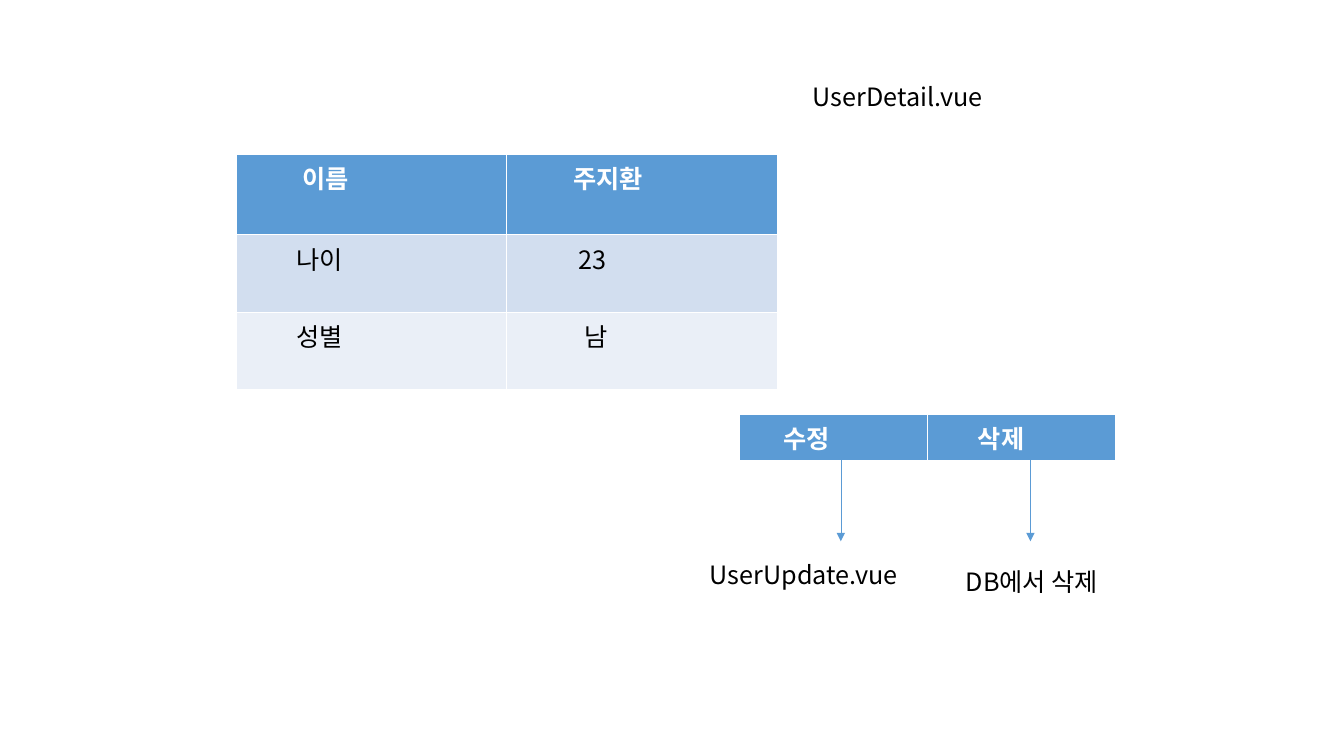
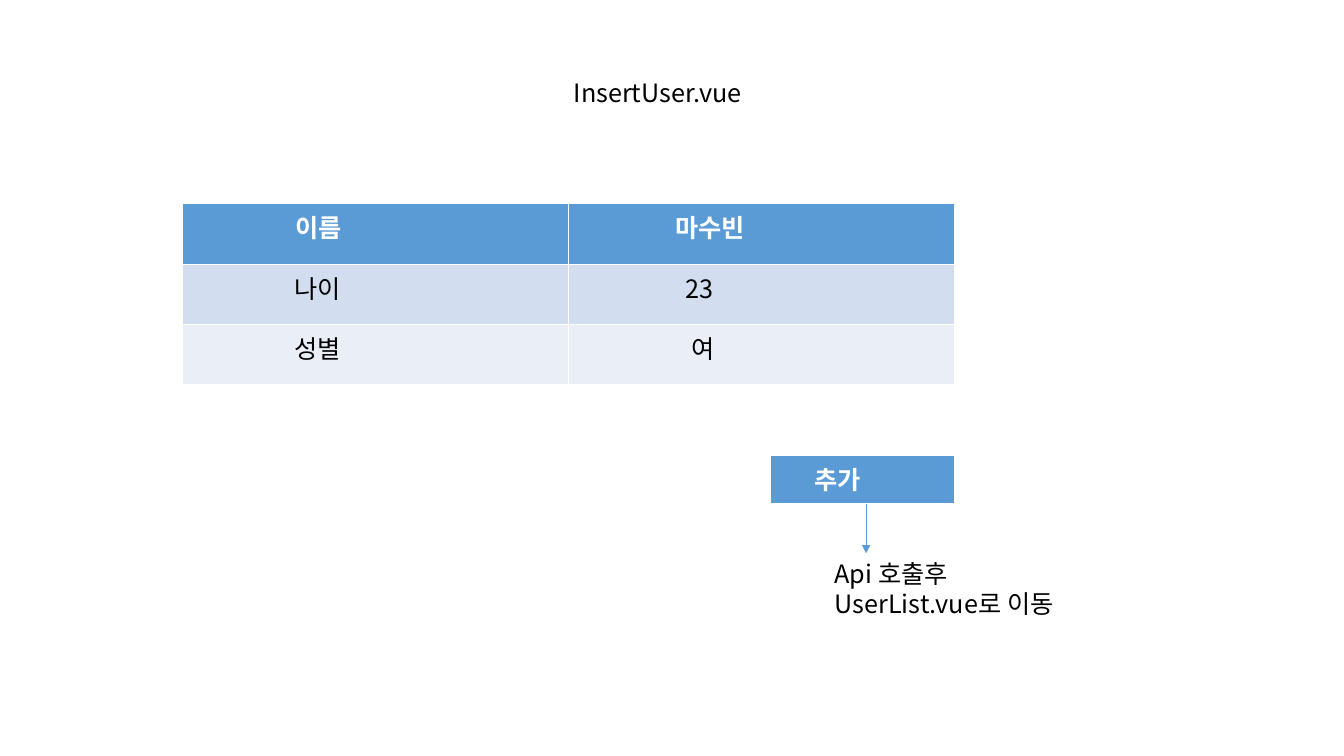
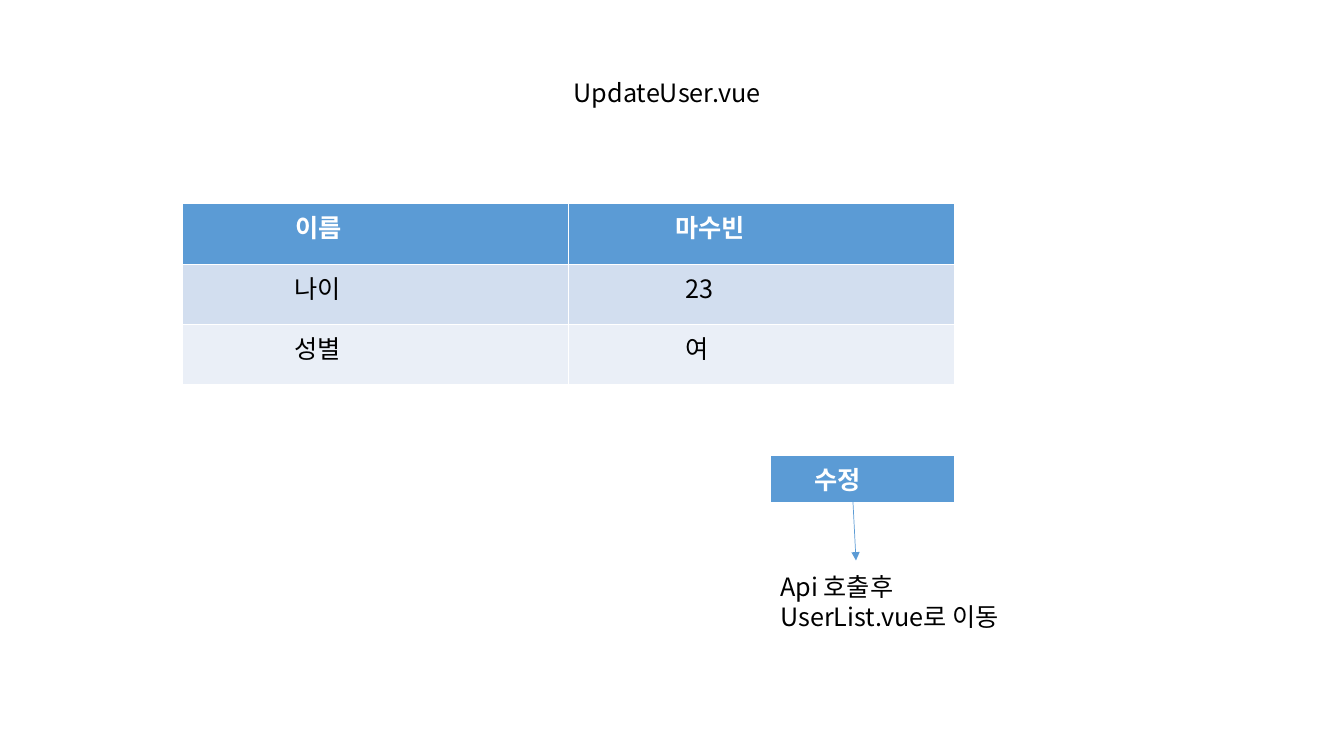
"""Build three wireframe slides for the user detail, insert and update views."""
import dataclasses

import lxml.etree
import pptx
import pptx.dml.color
import pptx.enum.shapes
import pptx.enum.text
import pptx.oxml.ns
import pptx.util

Inches = pptx.util.Inches
Color = pptx.dml.color.RGBColor.from_string


@dataclasses.dataclass(frozen=True)
class Theme:
    font: str = "Noto Sans CJK KR"
    size: int = 18
    text: str = "000000"
    header_text: str = "FFFFFF"
    accent: str = "5B9BD5"
    bands: tuple = ("D2DEEF", "EAEFF7")
    line_width: float = 0.5


THEME = Theme()
AFTER_CALL = "Api 호출후 UserList.vue로 이동"
FORM_BOX = (1.81, 2.02, 7.66)
FORM_HEIGHTS = (0.6, 0.6, 0.6)
FORM_TITLE = (5.59, 0.72, 4.16, 0.4)

# Each table cell is (text, left indent in inches).
SLIDES = [
    {
        "title": ("UserDetail.vue", (7.96, 0.76, 2.26, 0.4)),
        "tables": [
            ((7.33, 4.11, 3.74), (0.41,), [[("수정", 0.44), ("삭제", 0.5)]]),
            ((2.34, 1.53, 5.37), (0.8, 0.77, 0.77), [
                [("이름", 0.66), ("주지환", 0.66)],
                [("나이", 0.6), ("23", 0.71)],
                [("성별", 0.6), ("남", 0.77)],
            ]),
        ],
        "arrows": [(10.22, 4.52, 10.22, 5.37), (8.34, 4.52, 8.34, 5.37)],
        "labels": [
            ("DB에서 삭제", (9.48, 5.57, 2.26, 0.4)),
            ("UserUpdate.vue", (6.94, 5.5, 2.26, 0.4)),
        ],
    },
    {
        "title": ("InsertUser.vue", FORM_TITLE),
        "tables": [
            (FORM_BOX, FORM_HEIGHTS, [
                [("이름", 1.12), ("마수빈", 1.06)],
                [("나이", 1.11), ("23", 1.16)],
                [("성별", 1.11), ("여", 1.22)],
            ]),
            ((7.64, 4.52, 1.83), (0.48,), [[("추가", 0.44)]]),
        ],
        "arrows": [(8.59, 5, 8.59, 5.49)],
        "labels": [(AFTER_CALL, (8.18, 5.49, 2.59, 0.71))],
    },
    {
        "title": ("UpdateUser.vue", FORM_TITLE),
        "tables": [
            (FORM_BOX, FORM_HEIGHTS, [
                [("이름", 1.12), ("마수빈", 1.06)],
                [("나이", 1.11), ("23", 1.16)],
                [("성별", 1.11), ("여", 1.16)],
            ]),
            ((7.64, 4.52, 1.83), (0.47,), [[("수정", 0.44)]]),
        ],
        "arrows": [(8.46, 4.98, 8.49, 5.56)],
        "labels": [(AFTER_CALL, (7.64, 5.62, 2.59, 0.71))],
    },
]


def add_element(parent, tag, **attributes):
    return lxml.etree.SubElement(parent, pptx.oxml.ns.qn(tag), **attributes)


def write_text(frame, text, color=THEME.text, bold=False):
    frame.text = text
    paragraph = frame.paragraphs[0]
    paragraph.alignment = pptx.enum.text.PP_ALIGN.LEFT
    font = paragraph.font
    font.size = pptx.util.Pt(THEME.size)
    font.bold = bold
    font.color.rgb = Color(color)
    font.name = THEME.font
    properties = paragraph._p.find(".//" + pptx.oxml.ns.qn("a:defRPr"))
    add_element(properties, "a:ea", typeface=THEME.font)


def write_label(shape, text):
    frame = shape.text_frame
    frame.word_wrap = True
    frame.auto_size = pptx.enum.text.MSO_AUTO_SIZE.NONE
    frame.vertical_anchor = pptx.enum.text.MSO_ANCHOR.TOP
    write_text(frame, text)


def add_title(slide, text, box):
    title = slide.shapes.title
    title.left, title.top, title.width, title.height = map(Inches, box)
    write_label(title, text)


def add_table(slide, box, heights, rows):
    left, top, width = map(Inches, box)
    table = slide.shapes.add_table(
        len(rows), len(rows[0]), left, top, width, Inches(sum(heights))
    ).table
    for row_index, (height, cells) in enumerate(zip(heights, rows)):
        table.rows[row_index].height = Inches(height)
        header = row_index == 0
        fill = THEME.accent if header else THEME.bands[(row_index - 1) % 2]
        color = THEME.header_text if header else THEME.text
        for column_index, (text, indent) in enumerate(cells):
            cell = table.cell(row_index, column_index)
            cell.margin_left = Inches(indent)
            cell.fill.solid()
            cell.fill.fore_color.rgb = Color(fill)
            write_text(cell.text_frame, text, color, header)


def add_arrow(slide, ends):
    arrow = slide.shapes.add_connector(
        pptx.enum.shapes.MSO_CONNECTOR.STRAIGHT, *map(Inches, ends)
    )
    arrow.line.color.rgb = Color(THEME.accent)
    arrow.line.width = pptx.util.Pt(THEME.line_width)
    add_element(arrow.line._get_or_add_ln(), "a:tailEnd", type="triangle")
    add_element(arrow._element.spPr, "a:effectLst")


def build():
    presentation = pptx.Presentation()
    presentation.slide_width = Inches(13.33)
    presentation.slide_height = Inches(7.5)
    title_only = presentation.slide_layouts.get_by_name("Title Only")
    for content in SLIDES:
        slide = presentation.slides.add_slide(title_only)
        add_title(slide, *content["title"])
        for table in content["tables"]:
            add_table(slide, *table)
        for ends in content["arrows"]:
            add_arrow(slide, ends)
        for text, box in content["labels"]:
            write_label(slide.shapes.add_textbox(*map(Inches, box)), text)
    presentation.save("out.pptx")


build()
